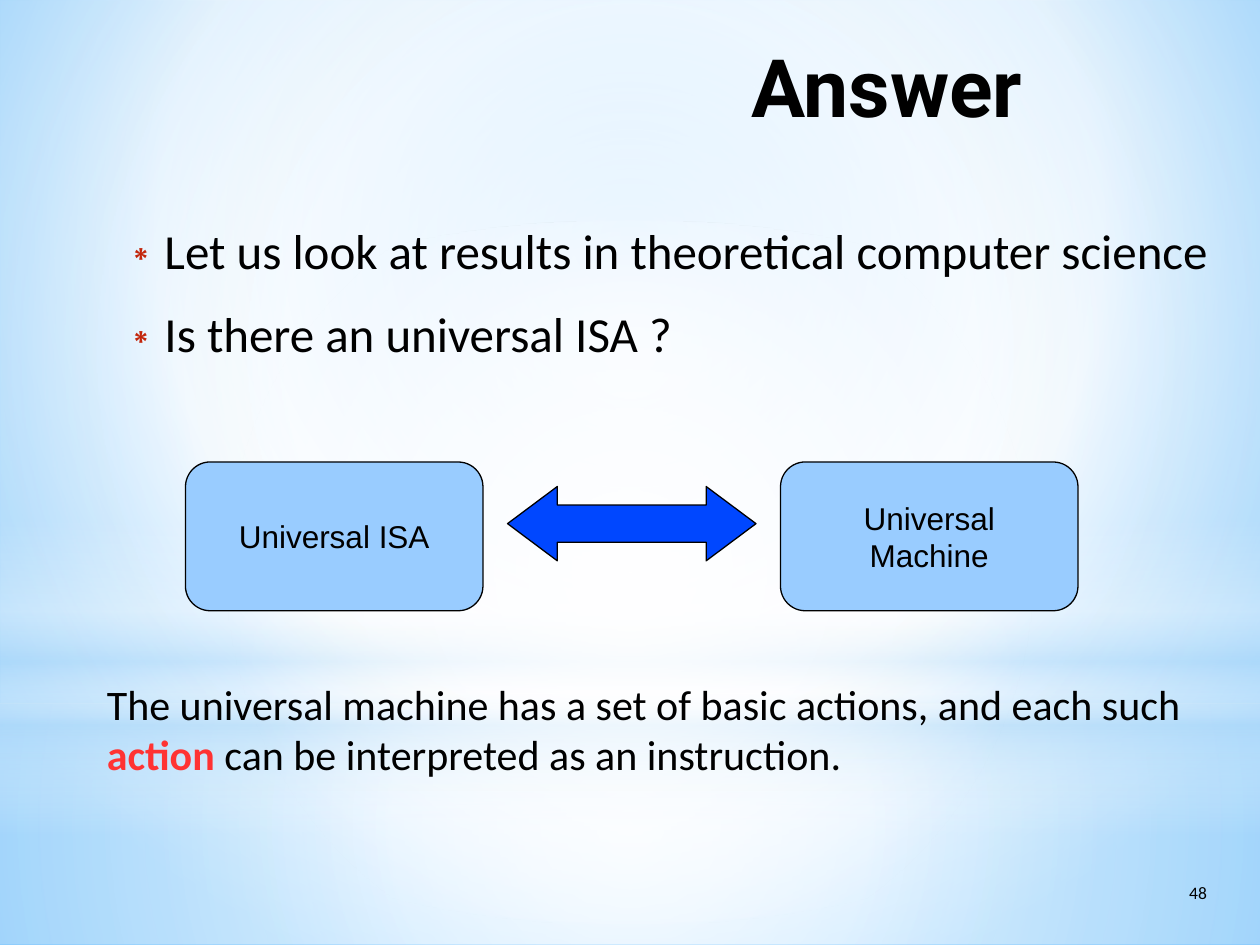
from dataclasses import dataclass

from lxml.etree import SubElement
from pptx import Presentation
from pptx.dml.color import RGBColor
from pptx.enum.shapes import MSO_SHAPE
from pptx.enum.text import MSO_ANCHOR, MSO_AUTO_SIZE, PP_ALIGN
from pptx.oxml.ns import qn
from pptx.util import Pt


@dataclass(frozen=True)
class Theme:
    """Colours, fonts and type sizes of the slide."""
    ink: str = "000000"
    alert: str = "FF3333"
    star: str = "C3260C"
    box: str = "99CCFF"
    arrow: str = "0047FF"
    white: str = "FFFFFF"
    haze: str = "B4DCFA"
    sky: str = "9ED5FF"
    deep: str = "5BB9FF"
    head: str = "Roboto"
    main: str = "Calibri"
    label: str = "Arial"
    title: int = 46
    body: int = 28
    note: int = 24
    small: int = 18
    tiny: int = 10


LOOK = Theme()
MID = (50, 50, 50, 50)


def write(para, text, size, font=LOOK.main, color=LOOK.ink, bold=False):
    """Add one formatted run to a paragraph."""
    run = para.add_run()
    run.text = text
    run.font.size, run.font.name, run.font.bold = Pt(size), font, bold
    run.font.color.rgb = RGBColor.from_string(color)


def place(shape, box):
    """Move a shape to a box given in points."""
    shape.left, shape.top, shape.width, shape.height = map(Pt, box)


def frame(shape, inset=(0, 0), anchor=MSO_ANCHOR.TOP):
    """Set insets, anchor and wrap of a shape and return its text frame."""
    text = shape.text_frame
    text.word_wrap, text.auto_size = True, MSO_AUTO_SIZE.NONE
    text.vertical_anchor = anchor
    text.margin_left = text.margin_right = Pt(inset[0])
    text.margin_top = text.margin_bottom = Pt(inset[1])
    return text


def blend(props, stops, focus=None):
    """Replace a solid fill by a gradient, round a focus or straight down."""
    solid = props.find(qn("a:solidFill"))
    grad = props.makeelement(qn("a:gradFill"), {"rotWithShape": "1"})
    props.replace(solid, grad)
    chain = SubElement(grad, qn("a:gsLst"))
    for spot, color, alpha in stops:
        stop = SubElement(chain, qn("a:gs"), pos=str(spot * 1000))
        tint = SubElement(stop, qn("a:srgbClr"), val=color)
        SubElement(tint, qn("a:alpha"), val=str(alpha * 1000))
    if focus:
        ring = SubElement(grad, qn("a:path"), path="circle")
        sides = {side: str(part * 1000) for side, part in zip("ltrb", focus)}
        SubElement(ring, qn("a:fillToRect"), sides)
    else:
        SubElement(grad, qn("a:lin"), ang="5400000", scaled="0")


def block(slide, kind, box, color):
    """Add a flat preset shape without outline or shadow."""
    shape = slide.shapes.add_shape(kind, *map(Pt, box))
    shape.shadow.inherit = False
    shape.fill.solid()
    shape.fill.fore_color.rgb = RGBColor.from_string(color)
    shape.line.fill.background()
    return shape


def rim(shape):
    """Give a shape a hairline outline."""
    shape.line.color.rgb = RGBColor.from_string(LOOK.ink)
    shape.line.width = Pt(0)


def backdrop(slide, box):
    """Paint the sky and its soft veils of light."""
    left, top, wide, high = box
    white, haze = LOOK.white, LOOK.haze
    slide.background.fill.solid()
    blend(slide.element.find(".//" + qn("p:bgPr")),
          [(0, LOOK.sky, 100), (60, white, 100), (100, LOOK.deep, 100)],
          (20, 10, 20, 60))
    rect, oval = MSO_SHAPE.RECTANGLE, MSO_SHAPE.OVAL
    split = 402
    veils = [
        (rect, split, high - split,
         [(0, white, 91), (37, white, 76), (100, haze, 79)], MID),
        (rect, 0, split,
         [(0, white, 89), (48, white, 62), (100, haze, 79)], MID),
        (rect, 297, 180,
         [(0, white, 0), (29, white, 30), (45, haze, 40),
          (55, white, 26), (65, haze, 60), (100, white, 0)], None),
        (oval, 126, split, [(0, white, 100), (56, white, 0)], MID),
    ]
    for kind, down, tall, stops, focus in veils:
        veil = block(slide, kind, (left, top + down, wide, tall), white)
        blend(veil.element.spPr, stops, focus)


def heading(slide, box, text):
    """Fill the title placeholder, set right."""
    title = slide.shapes.title
    slide.shapes.element.append(title.element)
    place(title, box)
    para = frame(title, anchor=MSO_ANCHOR.MIDDLE).paragraphs[0]
    para.alignment = PP_ALIGN.RIGHT
    write(para, text, LOOK.title, font=LOOK.head, bold=True)


def points(slide, box, items):
    """Fill the body placeholder with starred points."""
    body = slide.placeholders[1]
    slide.shapes.element.append(body.element)
    place(body, box)
    text = frame(body)
    for num, item in enumerate(items):
        para = text.add_paragraph() if num else text.paragraphs[0]
        props = para._p.get_or_add_pPr()
        props.set("marL", str(Pt(34)))
        props.set("indent", str(-Pt(25)))
        tint = SubElement(props, qn("a:buClr"))
        SubElement(tint, qn("a:srgbClr"), val=LOOK.star)
        SubElement(props, qn("a:buSzPct"), val="85000")
        SubElement(props, qn("a:buChar"), char="∗")
        para.space_before, para.space_after = Pt(0), Pt(14.1)
        write(para, item, LOOK.body)


def diagram(slide, box, names):
    """Draw two boxes joined by a double arrow."""
    left, top, wide, high = box
    side, gap = 170, 14
    for name, x in zip(names, (left, left + wide - side)):
        card = block(slide, MSO_SHAPE.ROUNDED_RECTANGLE,
                     (x, top, side, high), LOOK.box)
        rim(card)
        para = frame(card, (7.2, 3.6), MSO_ANCHOR.MIDDLE).paragraphs[0]
        para.alignment = PP_ALIGN.CENTER
        write(para, name, LOOK.small, font=LOOK.label)
    span = wide - 2 * (side + gap)
    arrow = block(slide, MSO_SHAPE.LEFT_RIGHT_ARROW,
                  (left + side + gap, top + gap, span, high / 2), LOOK.arrow)
    arrow.adjustments[1] = 0.67
    rim(arrow)


def note(slide, box, lines, size):
    """Add a text box; each line is a list of text and format pairs."""
    text = frame(slide.shapes.add_textbox(*map(Pt, box)), (7.2, 3.6))
    for num, line in enumerate(lines):
        para = text.add_paragraph() if num else text.paragraphs[0]
        for part, form in line:
            write(para, part, size, **form)


def main():
    """Build the slide and save it."""
    deck = Presentation()
    deck.slide_width, deck.slide_height = Pt(720), Pt(540)
    slide = deck.slides.add_slide(deck.slide_layouts[1])
    backdrop(slide, (0, 0, 720, 540))
    heading(slide, (0, 12, 584, 73.5), "Answer")
    points(slide, (60, 126, 660, 115),
           ["Let us look at results in theoretical computer science",
            "Is there an universal ISA ?"])
    diagram(slide, (106, 264, 510, 85), ["Universal ISA", "Universal Machine"])
    note(slide, (54, 384, 634, 66), [
        [("The universal machine has a set of basic actions, and each such", {})],
        [("action", {"color": LOOK.alert, "bold": True}),
         (" can be interpreted as an instruction.", {})],
    ], LOOK.note)
    note(slide, (672.5, 500.5, 44, 29), [[("48", {})]], LOOK.tiny)
    deck.save("out.pptx")


if __name__ == "__main__":
    main()
